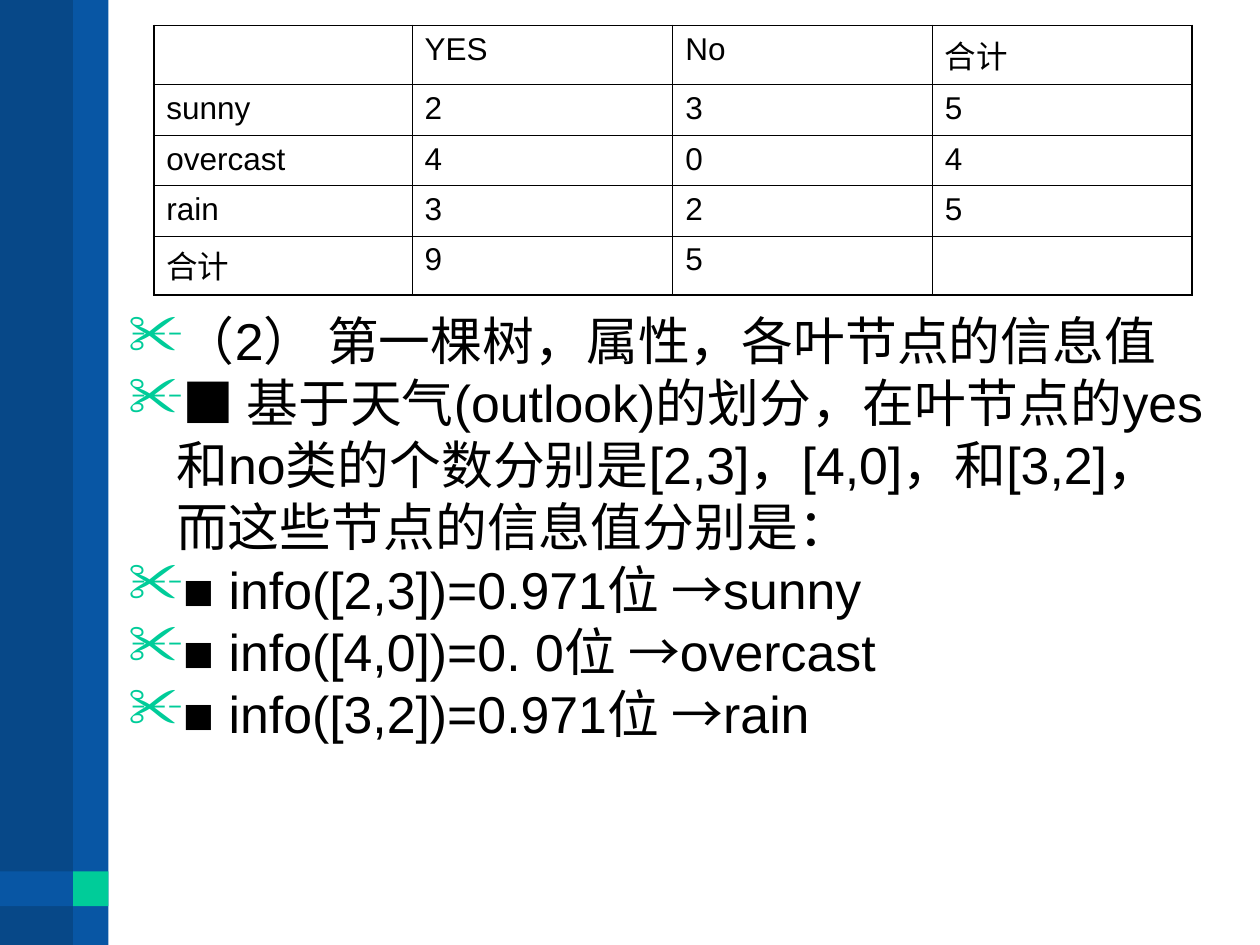
from typing import NamedTuple

from lxml.etree import SubElement
from pptx import Presentation
from pptx.dml.color import RGBColor
from pptx.enum.shapes import MSO_SHAPE
from pptx.oxml.ns import qn
from pptx.util import Inches, Pt

WIDE, HIGH = 10, 7.5
BLACK, NAVY, BLUE, GREEN = "000000", "074888", "0856A4", "00CC99"


class Band(NamedTuple):
    """A plain side block, placed in shares of the slide."""
    left: float
    top: float
    wide: float
    high: float
    fill: str


BANDS = [
    Band(0, 0, 0.083, 1, NAVY),
    Band(0.058, 0, 0.028, 1, BLUE),
    Band(0, 0.922, 0.083, 0.037, BLUE),
    Band(0.058, 0.922, 0.028, 0.037, GREEN),
]
ROWS = [
    ["", "YES", "No", "合计"],
    ["sunny", "2", "3", "5"],
    ["overcast", "4", "0", "4"],
    ["rain", "3", "2", "5"],
    ["合计", "9", "5", ""],
]
LINES = [
    "（2） 第一棵树，属性，各叶节点的信息值",
    "■ 基于天气(outlook)的划分，在叶节点的yes和no类的个数分别是[2,3]，[4,0]，和[3,2]，而这些节点的信息值分别是：",
    "■ info([2,3])=0.971位 →sunny",
    "■ info([4,0])=0. 0位 →overcast",
    "■ info([3,2])=0.971位 →rain",
]


def tint(code: str) -> RGBColor:
    """Turn a hex string into a colour."""
    return RGBColor.from_string(code)


def place(left: float, top: float, wide: float, high: float) -> list:
    """Turn shares of the slide into lengths."""
    return [Inches(left * WIDE), Inches(top * HIGH),
            Inches(wide * WIDE), Inches(high * HIGH)]


def style(font, size: float) -> None:
    """Format a font."""
    for key, val in {"name": "Arial", "size": Pt(size)}.items():
        setattr(font, key, val)
    font.color.rgb = tint(BLACK)


def draw_band(slide, band: Band) -> None:
    """Draw one side block."""
    box = slide.shapes.add_shape(MSO_SHAPE.RECTANGLE, *place(*band[:4]))
    box.shadow.inherit = False
    box.fill.solid()
    box.fill.fore_color.rgb = tint(band.fill)
    box.line.fill.background()


def edge(cell, sides: dict[str, float]) -> None:
    """Rule the sides of a cell, given widths in points."""
    props = cell._tc.get_or_add_tcPr()
    for spot, (side, width) in enumerate(sides.items()):
        line = props.makeelement(qn(f"a:ln{side}"), {"w": str(Pt(width))})
        props.insert(spot, line)
        fill = SubElement(line, qn("a:solidFill"))
        SubElement(fill, qn("a:srgbClr"), val=BLACK)


def draw_table(slide) -> None:
    """Draw the count table with a heavier outer frame."""
    down, over = len(ROWS), len(ROWS[0])
    area = place(0.122, 0.027, 0.824, 0.285)
    grid = slide.shapes.add_table(down, over, *area).table
    for flag in ("first_row", "horz_banding"):
        setattr(grid, flag, False)
    for col, wide in zip(grid.columns, (2.05, 2.07, 2.06, 2.06)):
        col.width = Inches(wide)
    for r, row in enumerate(ROWS):
        grid.rows[r].height = Inches(0.47 if "合计" in row else 0.4)
        for c, text in enumerate(row):
            cell = grid.cell(r, c)
            cell.text = text
            cell.fill.background()
            style(cell.text_frame.paragraphs[0].font, 18)
            outer = {"L": c == 0, "R": c == over - 1,
                     "T": r == 0, "B": r == down - 1}
            edge(cell, {k: 1.08 if out else 0.45 for k, out in outer.items()})


def mark(para) -> None:
    """Give a paragraph a hanging scissors bullet."""
    props = para._p.get_or_add_pPr()
    dent = Inches(0.38)
    props.set("marL", str(dent))
    props.set("indent", str(-dent))
    hue = SubElement(props, qn("a:buClr"))
    SubElement(hue, qn("a:srgbClr"), val=GREEN)
    SubElement(props, qn("a:buSzPct"), val="110000")
    SubElement(props, qn("a:buFont"), typeface="OpenSymbol")
    SubElement(props, qn("a:buChar"), char="✂")


def draw_text(slide) -> None:
    """Draw the bulleted text."""
    area = place(0.092, 0.32, 0.875, 0.559)
    frame = slide.shapes.add_textbox(*area).text_frame
    frame.word_wrap = True
    for i, text in enumerate(LINES):
        para = frame.add_paragraph() if i else frame.paragraphs[0]
        mark(para)
        run = para.add_run()
        run.text = text
        style(run.font, 29.6)


def main() -> None:
    """Build and save the slide."""
    deck = Presentation()
    deck.slide_width, deck.slide_height = Inches(WIDE), Inches(HIGH)
    slide = deck.slides.add_slide(deck.slide_layouts[6])
    for band in BANDS:
        draw_band(slide, band)
    draw_text(slide)
    draw_table(slide)
    deck.save("out.pptx")


if __name__ == "__main__":
    main()
